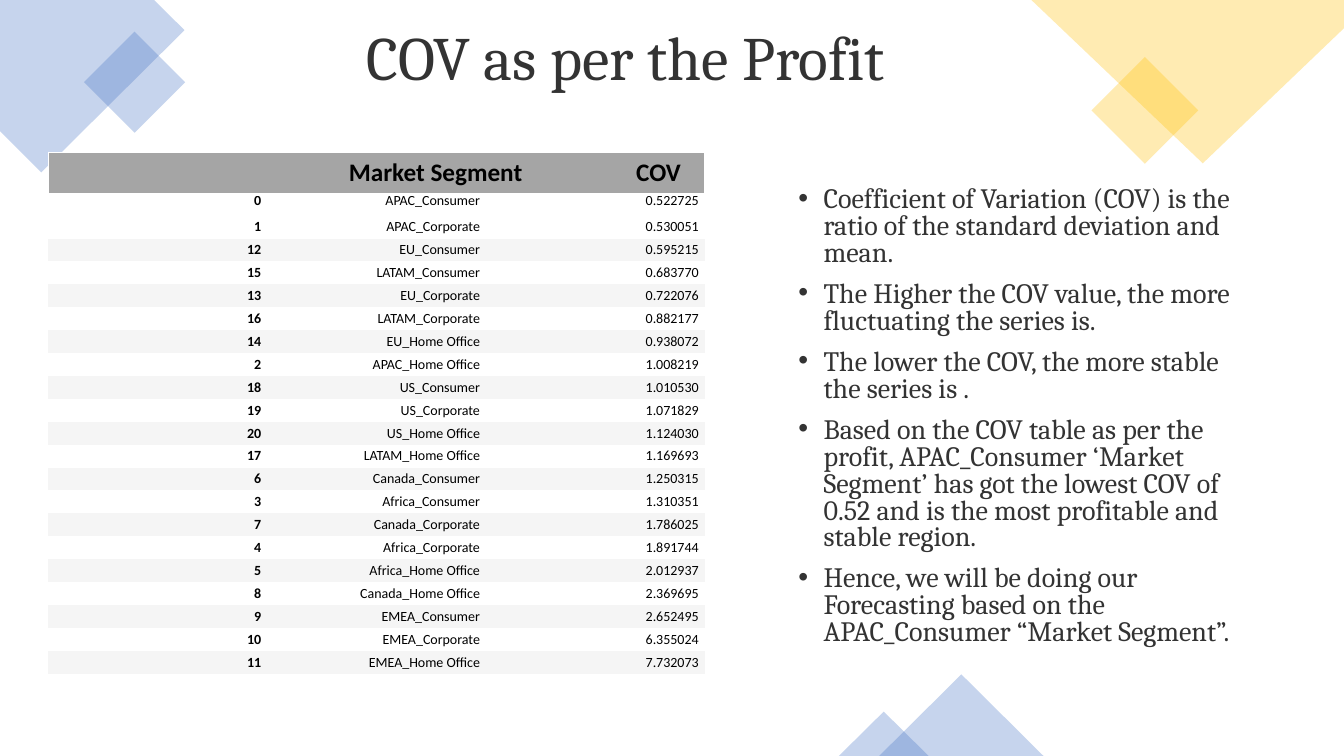
from lxml.etree import SubElement
from pptx import Presentation
from pptx.dml.color import RGBColor
from pptx.enum.shapes import MSO_SHAPE as Shape
from pptx.enum.text import MSO_ANCHOR as Anchor, PP_ALIGN as Align
from pptx.oxml.ns import qn
from pptx.util import Inches, Pt

THEME = {
    "blue": "4472C4", "gold": "FFC000", "text": "333333", "black": "000000",
    "band": "F5F5F5", "header": "A5A5A5", "white": "FFFFFF",
    "heading_font": "Cambria", "table_font": "Calibri",
    "title_size": 44, "body_size": 20, "header_size": 18, "cell_size": 10,
    "opacity": 30,
}
PLAIN_TABLE_STYLE = "{2D5ABB26-0587-4C30-8999-92F81FD0307C}"

TITLE = "COV as per the Profit "
HEADER = "\tMarket Segment\tCOV"
HEADER_TABS = (2.88, 5.73)
SEGMENTS = [
    ("0", "APAC_Consumer", "0.522725"),
    ("1", "APAC_Corporate", "0.530051"),
    ("12", "EU_Consumer", "0.595215"),
    ("15", "LATAM_Consumer", "0.683770"),
    ("13", "EU_Corporate", "0.722076"),
    ("16", "LATAM_Corporate", "0.882177"),
    ("14", "EU_Home Office", "0.938072"),
    ("2", "APAC_Home Office", "1.008219"),
    ("18", "US_Consumer", "1.010530"),
    ("19", "US_Corporate", "1.071829"),
    ("20", "US_Home Office", "1.124030"),
    ("17", "LATAM_Home Office", "1.169693"),
    ("6", "Canada_Consumer", "1.250315"),
    ("3", "Africa_Consumer", "1.310351"),
    ("7", "Canada_Corporate", "1.786025"),
    ("4", "Africa_Corporate", "1.891744"),
    ("5", "Africa_Home Office", "2.012937"),
    ("8", "Canada_Home Office", "2.369695"),
    ("9", "EMEA_Consumer", "2.652495"),
    ("10", "EMEA_Corporate", "6.355024"),
    ("11", "EMEA_Home Office", "7.732073"),
]
POINTS = [
    "Coefficient of Variation (COV) is the ratio of the standard deviation and mean.",
    "The Higher the COV value, the more fluctuating the series is.",
    "The lower the COV, the more stable the series is .",
    "Based on the COV table as per the profit, APAC_Consumer ‘Market Segment’ has got "
    "the lowest COV of 0.52 and is the most profitable and stable region.",
    "Hence, we will be doing our Forecasting based on the APAC_Consumer “Market Segment”.",
]
CORNERS = [
    ("blue", [(1.53, 0), (0, 0), (0, 1.3), (0.41, 1.71), (1.83, 0.3)]),
    ("gold", [(13.33, 0), (10.23, 0), (11.93, 1.62), (13.33, 0.28)]),
]
ACCENTS = [
    (Shape.RECTANGLE, "blue", 315, (0.98, 0.46, 0.71, 0.71)),
    (Shape.RECTANGLE, "gold", 315, (10.98, 0.72, 0.75, 0.75)),
    (Shape.ISOSCELES_TRIANGLE, "blue", 0, (8.72, 6.69, 1.63, 0.81)),
    (Shape.ISOSCELES_TRIANGLE, "blue", 0, (8.32, 7.06, 0.89, 0.44)),
]
TABLE_BOX = (0.48, 1.85, 6.51, 4.82)
HEADER_BOX = (0.48, 1.51, 6.51, 0.42)
FIRST_ROW = 0.29
TITLE_BOX = (1.16, 0.14, 10.23, 0.84)
POINTS_BOX = (7.82, 1.4, 4.68, 5.43)


def color(name):
    return RGBColor.from_string(THEME[name])


def inches(box):
    return [Inches(value) for value in box]


def add_run(paragraph, text, font, size, ink, bold=False):
    run = paragraph.add_run()
    run.text = text
    run.font.name = THEME[font]
    run.font.size = Pt(THEME[size])
    run.font.bold = bold
    run.font.color.rgb = color(ink)


def style_accent(shape, fill):
    """Give a decoration its translucent fill, without outline or shadow."""
    shape.shadow.inherit = False
    shape.line.fill.background()
    shape.fill.solid()
    shape.fill.fore_color.rgb = color(fill)
    tint = shape._element.spPr.find(qn("a:solidFill"))[0]
    SubElement(tint, qn("a:alpha"), val=str(THEME["opacity"] * 1000))


def add_decorations(slide):
    for fill, (start, *others) in CORNERS:
        builder = slide.shapes.build_freeform(*inches(start))
        builder.add_line_segments([inches(point) for point in others], close=True)
        style_accent(builder.convert_to_shape(), fill)
    for kind, fill, rotation, box in ACCENTS:
        shape = slide.shapes.add_shape(kind, *inches(box))
        shape.rotation = rotation
        style_accent(shape, fill)


def add_text_frame(slide, box):
    frame = slide.shapes.add_textbox(*inches(box)).text_frame
    frame.word_wrap = True
    return frame


def add_plain_table(slide, rows, columns, box):
    table = slide.shapes.add_table(rows, columns, *inches(box)).table
    table.first_row = table.horz_banding = False
    table._tbl.tblPr.find(qn("a:tableStyleId")).text = PLAIN_TABLE_STYLE
    return table


def fill_cell(cell, name):
    cell.fill.solid()
    cell.fill.fore_color.rgb = color(name)


def add_segment_table(slide):
    table = add_plain_table(slide, len(SEGMENTS), 3, TABLE_BOX)
    row_height = (TABLE_BOX[3] - FIRST_ROW) / (len(SEGMENTS) - 1)
    for row, values in enumerate(SEGMENTS):
        table.rows[row].height = Inches(row_height if row else FIRST_ROW)
        for column, value in enumerate(values):
            cell = table.cell(row, column)
            cell.margin_left = cell.margin_right = Inches(0.06)
            cell.margin_top = cell.margin_bottom = Inches(0.03)
            cell.vertical_anchor = Anchor.MIDDLE
            if row and row % 2 == 0:
                fill_cell(cell, "band")
            else:
                cell.fill.background()
            paragraph = cell.text_frame.paragraphs[0]
            paragraph.alignment = Align.RIGHT
            add_run(paragraph, value, "table_font", "cell_size", "black", column == 0)


def add_header(slide):
    cell = add_plain_table(slide, 1, 1, HEADER_BOX).cell(0, 0)
    paragraph = cell.text_frame.paragraphs[0]
    add_run(paragraph, HEADER, "table_font", "header_size", "black", True)
    tabs = SubElement(paragraph._p.get_or_add_pPr(), qn("a:tabLst"))
    for position in HEADER_TABS:
        SubElement(tabs, qn("a:tab"), pos=str(Inches(position)), algn="l")
    properties = cell._tc.get_or_add_tcPr()
    for side, width in (("L", 1), ("R", 1), ("T", 1), ("B", 3)):
        border = SubElement(properties, qn(f"a:ln{side}"), w=str(Pt(width)))
        fill = SubElement(border, qn("a:solidFill"))
        SubElement(fill, qn("a:srgbClr"), val=THEME["white"])
    fill_cell(cell, "header")


def add_points(slide):
    frame = add_text_frame(slide, POINTS_BOX)
    frame.margin_top = Inches(0.46)
    for index, point in enumerate(POINTS):
        paragraph = frame.add_paragraph() if index else frame.paragraphs[0]
        paragraph.line_spacing = 0.8
        paragraph.space_before = Pt(10 if index else 0)
        properties = paragraph._p.get_or_add_pPr()
        properties.set("marL", str(Inches(0.25)))
        properties.set("indent", str(Inches(-0.25)))
        SubElement(properties, qn("a:buFont"), typeface="Arial")
        SubElement(properties, qn("a:buChar"), char="•")
        add_run(paragraph, point, "heading_font", "body_size", "text")


def main():
    presentation = Presentation()
    presentation.slide_width, presentation.slide_height = inches((13.33, 7.5))
    slide = presentation.slides.add_slide(presentation.slide_layouts[6])
    add_decorations(slide)
    title = add_text_frame(slide, TITLE_BOX).paragraphs[0]
    title.alignment = Align.CENTER
    add_run(title, TITLE, "heading_font", "title_size", "text")
    add_segment_table(slide)
    add_header(slide)
    add_points(slide)
    presentation.save("out.pptx")


if __name__ == "__main__":
    main()
